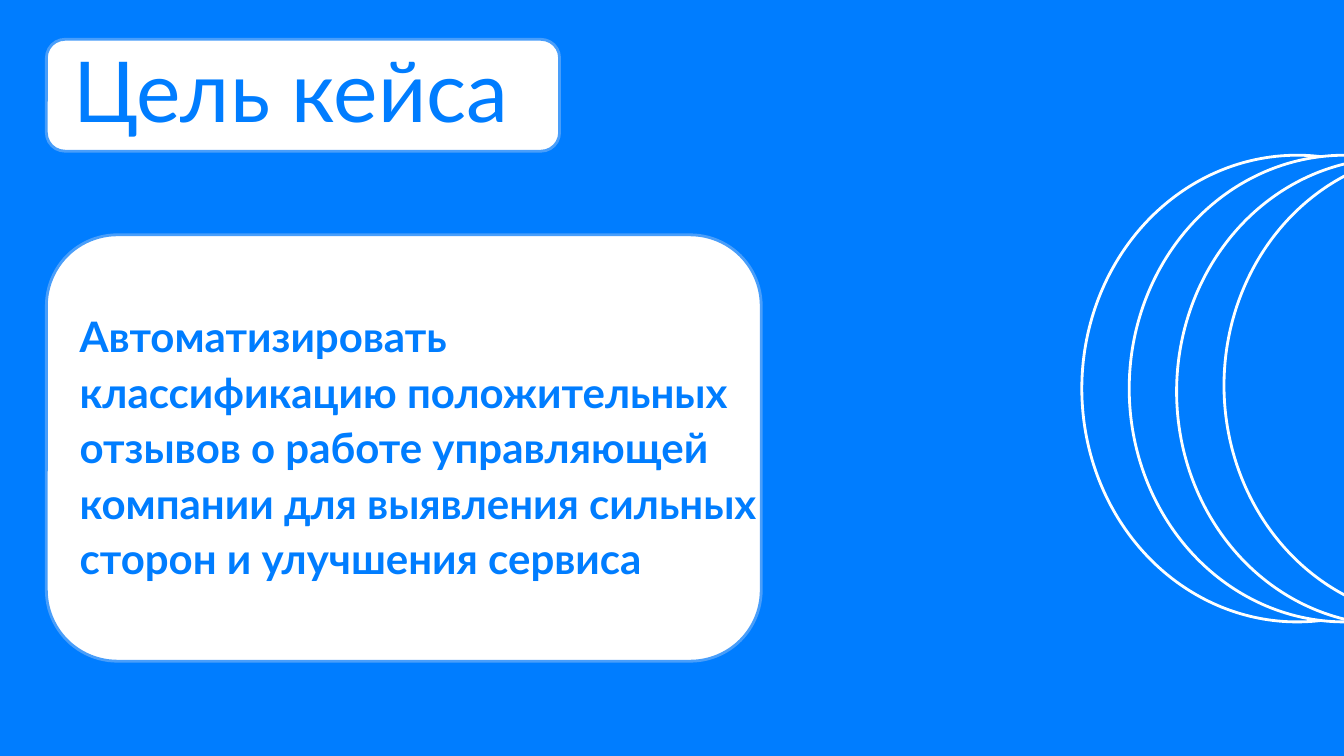
from pptx import Presentation
from pptx import util as u
from pptx.dml.color import RGBColor
from pptx.enum import shapes, text

COLORS = {"blue": "007DFF", "white": "FFFFFF", "border": "499EFA", "ring": "FEFFFE"}
FONT = "Lato"
TITLE = "Цель кейса"
GOAL = ("Автоматизировать классификацию положительных отзывов о работе управляющей "
        "компании для выявления сильных сторон и улучшения сервиса")


def color(name):
    return RGBColor.from_string(COLORS[name])


def add_outlined(slide, kind, box, fill, line):
    shape = slide.shapes.add_shape(kind, *map(u.Inches, box))
    shape.shadow.inherit = False
    shape.fill.solid()
    shape.fill.fore_color.rgb = color(fill)
    shape.line.color.rgb = color(line)
    shape.line.width = u.Pt(2)


def add_card(slide, box):
    add_outlined(slide, shapes.MSO_SHAPE.ROUNDED_RECTANGLE, box, "white", "border")


def write(shape, content, size, bold, spacing, anchor, inset):
    frame = shape.text_frame
    frame.text = content
    frame.word_wrap = True
    frame.auto_size = text.MSO_AUTO_SIZE.NONE
    frame.vertical_anchor = anchor
    frame.margin_left = frame.margin_right = u.Inches(inset)
    frame.margin_top = frame.margin_bottom = u.Inches(inset)
    paragraph = frame.paragraphs[0]
    paragraph.alignment = text.PP_ALIGN.LEFT
    paragraph.line_spacing = spacing
    font = paragraph.runs[0].font
    font.name = FONT
    font.size = u.Pt(size)
    font.bold = bold
    font.color.rgb = color("blue")


def place_title(slide, box):
    left, top, width, height = box
    add_card(slide, box)
    title = slide.shapes.title
    title.left, title.top = u.Inches(left + 0.27), u.Inches(top + 0.11)
    title.width, title.height = u.Inches(width - 0.36), u.Inches(height - 0.19)
    write(title, TITLE, 60, False, 0.9, text.MSO_ANCHOR.TOP, 0)
    title.element.getparent().append(title.element)


def add_goal(slide, box):
    left, top, width, height = box
    add_card(slide, box)
    goal = slide.shapes.add_textbox(
        u.Inches(left + 0.27), u.Inches(top + 0.3),
        u.Inches(width - 0.18), u.Inches(height - 0.67))
    write(goal, GOAL, 30, True, 1.1, text.MSO_ANCHOR.MIDDLE, 0.06)


def add_rings(slide, box):
    left, top, width, height = box
    for index, shift in enumerate((0, 0, 0.03, -0.03)):
        ring = (left + 0.47 * index, top + shift, width, height)
        add_outlined(slide, shapes.MSO_SHAPE.OVAL, ring, "blue", "ring")


def main():
    presentation = Presentation()
    presentation.slide_width = u.Inches(13.33)
    presentation.slide_height = u.Inches(7.5)
    slide = presentation.slides.add_slide(presentation.slide_layouts[5])
    slide.background.fill.solid()
    slide.background.fill.fore_color.rgb = color("blue")
    add_goal(slide, (0.46, 2.33, 7.09, 4.23))
    add_rings(slide, (10.73, 1.54, 4.27, 4.63))
    place_title(slide, (0.46, 0.39, 5.09, 1.11))
    presentation.save("out.pptx")


if __name__ == "__main__":
    main()
